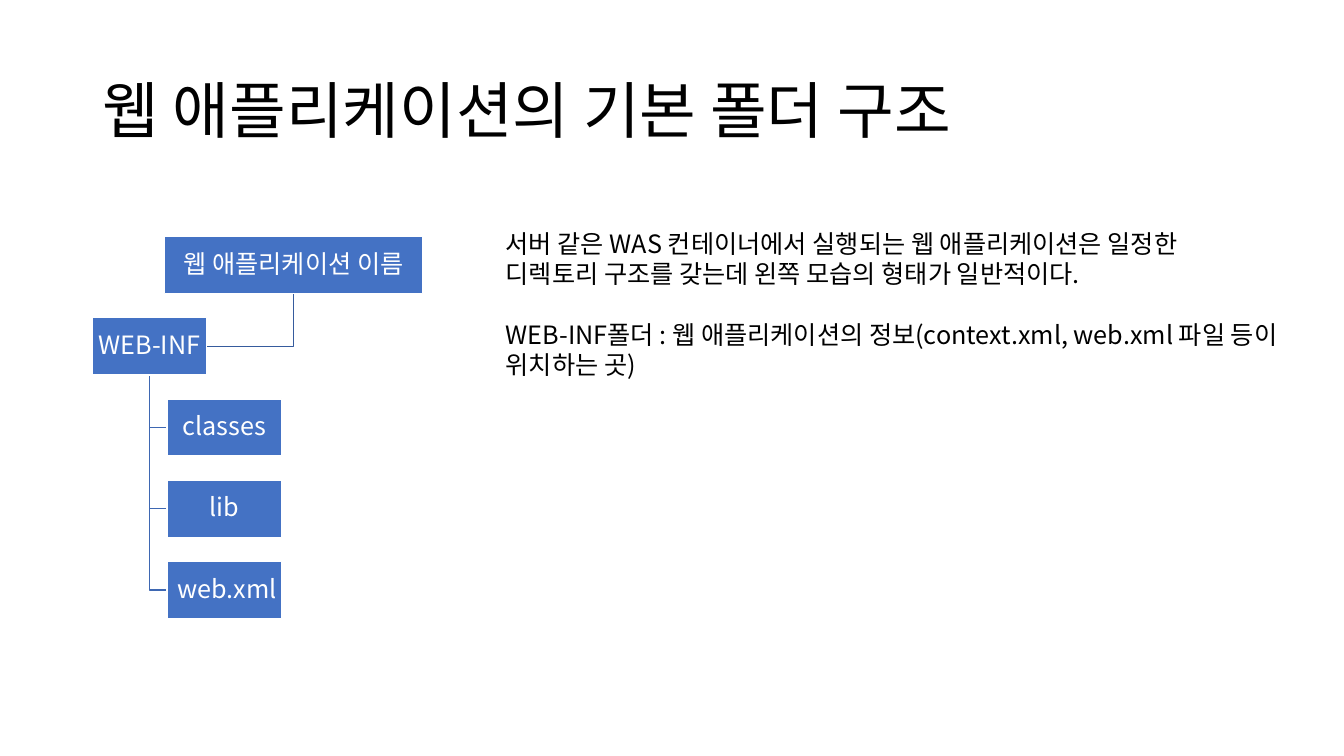
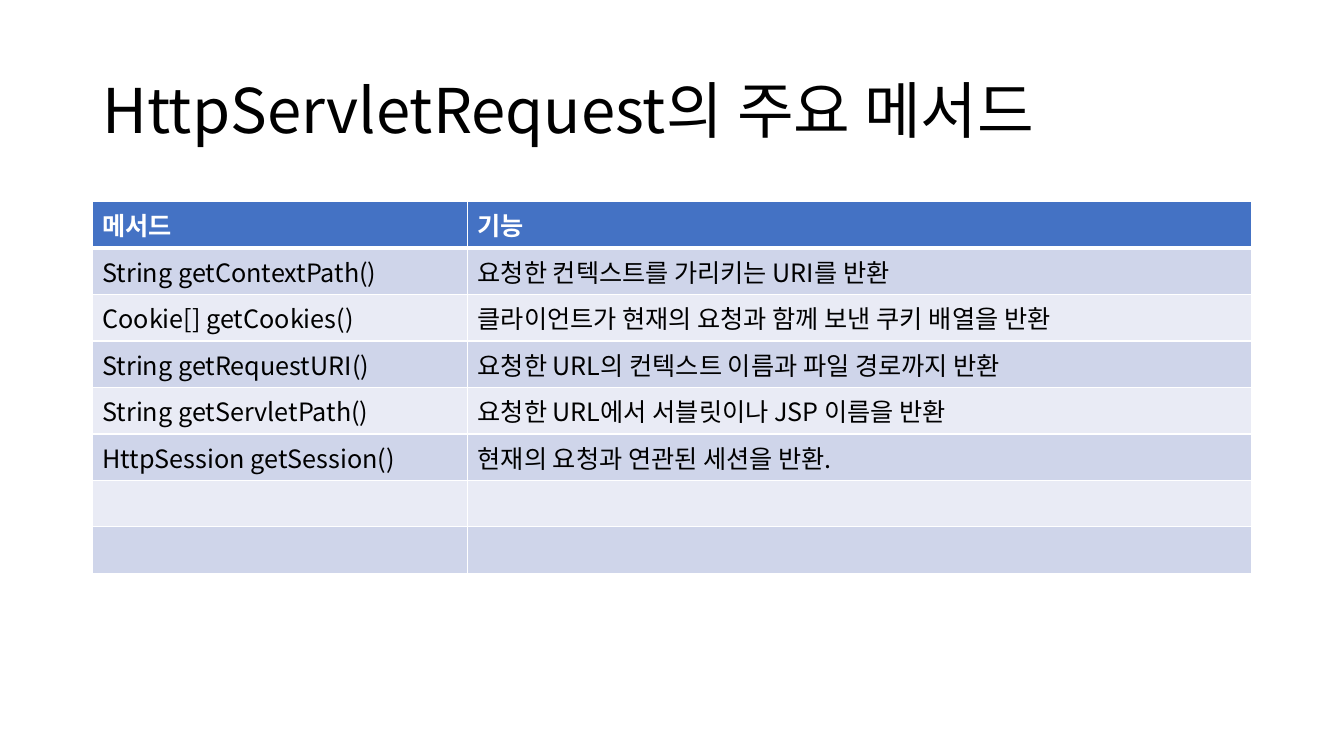
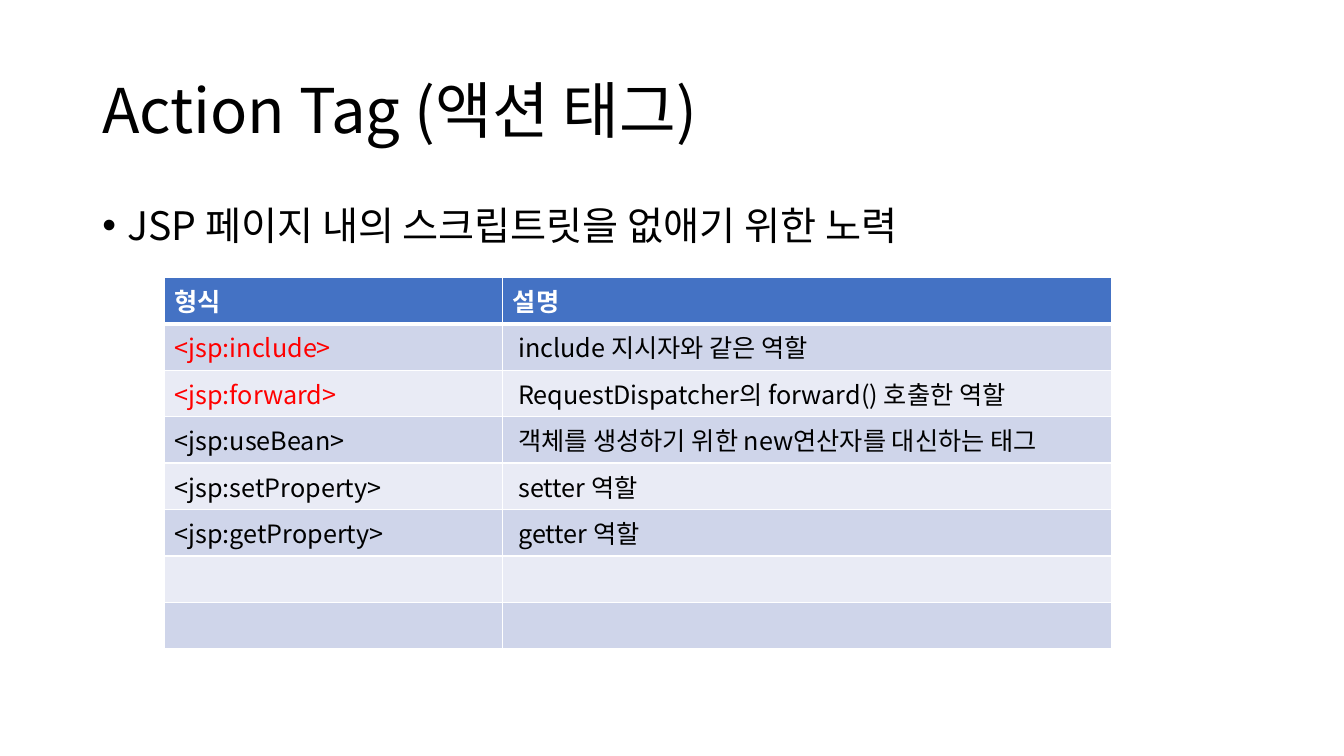
from dataclasses import dataclass
from typing import Any

import lxml.etree
import pptx
import pptx.dml.color
import pptx.enum.shapes
import pptx.enum.text
import pptx.oxml.ns
import pptx.util

# Shared look
Pt = pptx.util.Pt
ANCHOR = pptx.enum.text.MSO_ANCHOR
ALIGN = pptx.enum.text.PP_ALIGN
FONT = "Noto Sans CJK KR"
BLACK, WHITE, RED = "000000", "FFFFFF", "FF0000"
BLUE, BAND_DARK, BAND_LIGHT = "4472C4", "CFD5EA", "E9EBF5"
TRUNK_LINE, BRANCH_LINE = "365B9D", "3E67B2"
LEFT, CONTENT_WIDTH, CONTENT_TOP = 66, 828, 144
TEXT_SIZE = 18
LINE_PITCH = 21.6
ROW_HEIGHT = 33.2


@dataclass(frozen=True)
class Node:
    text: str
    left: float
    top: float
    width: float
    inset: float = 0.7
    height: float = 40.8

    @property
    def center(self) -> float:
        return self.left + self.width / 2

    @property
    def middle(self) -> float:
        return self.top + self.height / 2

    @property
    def bottom(self) -> float:
        return self.top + self.height


@dataclass(frozen=True)
class Row:
    name: str = ""
    meaning: str = ""
    name_color: str = BLACK


@dataclass(frozen=True)
class Grid:
    left: float
    top: float
    widths: tuple[float, float]
    rows: tuple[Row, ...]
    meaning_inset: float = 7.2


# Helpers
def rgb(color: str) -> pptx.dml.color.RGBColor:
    return pptx.dml.color.RGBColor.from_string(color)


def add_node(parent: Any, tag: str, **attributes: str) -> Any:
    return lxml.etree.SubElement(parent, pptx.oxml.ns.qn(tag), attributes)


def add_span(para: Any, text: str, size: float = TEXT_SIZE,
             color: str = BLACK, bold: bool = False) -> None:
    span = para.add_run()
    span.text = text
    span.font.size = Pt(size)
    span.font.name = FONT
    span.font.bold = bold
    span.font.color.rgb = rgb(color)
    add_node(span.font._element, "a:ea", typeface=FONT)


def add_text_box(page: Any, left: float, top: float, width: float,
                 height: float, wrap: bool = True) -> Any:
    box = page.shapes.add_textbox(Pt(left), Pt(top), Pt(width), Pt(height))
    box.text_frame.word_wrap = wrap
    return box.text_frame


def add_page(deck: Any, title: str) -> Any:
    page = deck.slides.add_slide(deck.slide_layouts[6])
    frame = add_text_box(page, LEFT, 28.8, CONTENT_WIDTH, 104.4)
    frame.vertical_anchor = ANCHOR.MIDDLE
    para = frame.paragraphs[0]
    para.line_spacing = 0.9
    add_span(para, title, 44)
    return page


# Folder tree
def add_elbow(page: Any, start: Node, end_left: float, end_top: float,
              color: str) -> None:
    builder = page.shapes.build_freeform(Pt(start.center), Pt(start.bottom))
    builder.add_line_segments(
        [(Pt(start.center), Pt(end_top)), (Pt(end_left), Pt(end_top))],
        close=False)
    elbow = builder.convert_to_shape()
    elbow.shadow.inherit = False
    elbow.fill.background()
    elbow.line.color.rgb = rgb(color)
    elbow.line.width = Pt(1)


def add_folder(page: Any, node: Node) -> None:
    box = page.shapes.add_shape(
        pptx.enum.shapes.MSO_SHAPE.RECTANGLE,
        Pt(node.left), Pt(node.top), Pt(node.width), Pt(node.height))
    box.shadow.inherit = False
    box.fill.solid()
    box.fill.fore_color.rgb = rgb(BLUE)
    box.line.color.rgb = rgb(WHITE)
    box.line.width = Pt(1)
    frame = box.text_frame
    frame.word_wrap = True
    frame.vertical_anchor = ANCHOR.MIDDLE
    frame.margin_left = Pt(node.inset)
    frame.margin_right = frame.margin_top = frame.margin_bottom = Pt(0.7)
    para = frame.paragraphs[0]
    para.alignment = ALIGN.CENTER
    para.line_spacing = 0.9
    para.space_after = Pt(6.3)
    add_span(para, node.text, color=WHITE)


def add_tree(page: Any) -> None:
    top, step, width = 169, 58, 81.6
    root = Node("웹 애플리케이션 이름", 117.5, top, 184.3)
    folder = Node("WEB-INF", LEFT, top + step, width)
    children = [Node(text, 119.4, top + step * level, width, inset)
                for level, (text, inset) in enumerate(
                    (("classes", 0.7), ("lib", 0.7), ("web.xml", 4.7)), 2)]
    for child in reversed(children):
        add_elbow(page, folder, child.left, child.middle, BRANCH_LINE)
    add_elbow(page, root, folder.left + folder.width, folder.middle, TRUNK_LINE)
    for node in (root, folder, *children):
        add_folder(page, node)


def add_explanation(page: Any) -> None:
    frame = add_text_box(page, 354.2, 159.5, 597, 138, wrap=False)
    lines = (
        ("서버 같은 WAS 컨테이너에서 실행되는 웹 애플리케이션은 일정한", 0),
        ("디렉토리 구조를 갖는데 왼쪽 모습의 형태가 일반적이다.", 0),
        ("WEB-INF폴더 : 웹 애플리케이션의 정보(context.xml, web.xml 파일 등이",
         LINE_PITCH),
        ("위치하는 곳)", 0),
    )
    for index, (text, gap) in enumerate(lines):
        para = frame.add_paragraph() if index else frame.paragraphs[0]
        para.line_spacing = Pt(LINE_PITCH)
        para.space_before = Pt(gap)
        add_span(para, text)


# Bullet
def add_bullet(page: Any, text: str) -> None:
    frame = add_text_box(page, LEFT, CONTENT_TOP, CONTENT_WIDTH, 342.7)
    para = frame.paragraphs[0]
    para.line_spacing = 0.9
    para.space_before = Pt(10)
    properties = para._p.get_or_add_pPr()
    properties.set("marL", str(Pt(18)))
    properties.set("indent", str(-Pt(18)))
    add_node(properties, "a:buFont", typeface="Arial")
    add_node(properties, "a:buChar", char="•")
    add_span(para, text, 28)


# Tables
def set_borders(cell: Any, row_index: int) -> None:
    properties = cell._tc.get_or_add_tcPr()
    widths = {"a:lnL": 1, "a:lnR": 1,
              "a:lnT": 3 if row_index == 1 else 1,
              "a:lnB": 3 if row_index == 0 else 1}
    for tag, width in widths.items():
        line = add_node(properties, tag, w=str(Pt(width)))
        add_node(add_node(line, "a:solidFill"), "a:srgbClr", val=WHITE)


def fill_cell(cell: Any, row_index: int, text: str, color: str) -> None:
    header = row_index == 0
    set_borders(cell, row_index)
    cell.fill.solid()
    band = BAND_DARK if row_index % 2 else BAND_LIGHT
    cell.fill.fore_color.rgb = rgb(BLUE if header else band)
    para = cell.text_frame.paragraphs[0]
    if text:
        add_span(para, text, color=WHITE if header else color, bold=header)
    else:
        ending = add_node(para._p, "a:endParaRPr", sz=str(TEXT_SIZE * 100))
        for tag in ("a:latin", "a:ea"):
            add_node(ending, tag, typeface=FONT)


def add_grid(page: Any, grid: Grid) -> None:
    count = len(grid.rows)
    table = page.shapes.add_table(
        count, 2, Pt(grid.left), Pt(grid.top),
        Pt(sum(grid.widths)), Pt(ROW_HEIGHT * count)).table
    table.first_row = table.horz_banding = False
    for column, width in zip(table.columns, grid.widths):
        column.width = Pt(width)
    for index, row in enumerate(grid.rows):
        table.rows[index].height = Pt(ROW_HEIGHT)
        fill_cell(table.cell(index, 0), index, row.name, row.name_color)
        meaning = table.cell(index, 1)
        fill_cell(meaning, index, row.meaning, BLACK)
        if index:
            meaning.margin_left = Pt(grid.meaning_inset)


METHODS = Grid(LEFT, CONTENT_TOP, (268, 560), (
    Row("메서드", "기능"),
    Row("String getContextPath()", "요청한 컨텍스트를 가리키는 URI를 반환"),
    Row("Cookie[] getCookies()",
        "클라이언트가 현재의 요청과 함께 보낸 쿠키 배열을 반환"),
    Row("String getRequestURI()",
        "요청한 URL의 컨텍스트 이름과 파일 경로까지 반환"),
    Row("String getServletPath()", "요청한 URL에서 서블릿이나 JSP 이름을 반환"),
    Row("HttpSession getSession()", "현재의 요청과 연관된 세션을 반환."),
    Row(),
    Row(),
))

ACTION_TAGS = Grid(117.5, 198, (241.7, 434.7), (
    Row("형식", "설명"),
    Row("<jsp:include>", "include 지시자와 같은 역할", RED),
    Row("<jsp:forward>", "RequestDispatcher의 forward() 호출한 역할", RED),
    Row("<jsp:useBean>", "객체를 생성하기 위한 new연산자를 대신하는 태그"),
    Row("<jsp:setProperty>", "setter 역할"),
    Row("<jsp:getProperty>", "getter 역할"),
    Row(),
    Row(),
), meaning_inset=11)


def main() -> None:
    deck = pptx.Presentation()
    deck.slide_width, deck.slide_height = Pt(960), Pt(540)

    page = add_page(deck, "웹 애플리케이션의 기본 폴더 구조")
    add_tree(page)
    add_explanation(page)

    page = add_page(deck, "HttpServletRequest의 주요 메서드")
    add_grid(page, METHODS)

    page = add_page(deck, "Action Tag (액션 태그)")
    add_bullet(page, "JSP 페이지 내의 스크립트릿을 없애기 위한 노력")
    add_grid(page, ACTION_TAGS)

    deck.save("out.pptx")


if __name__ == "__main__":
    main()
